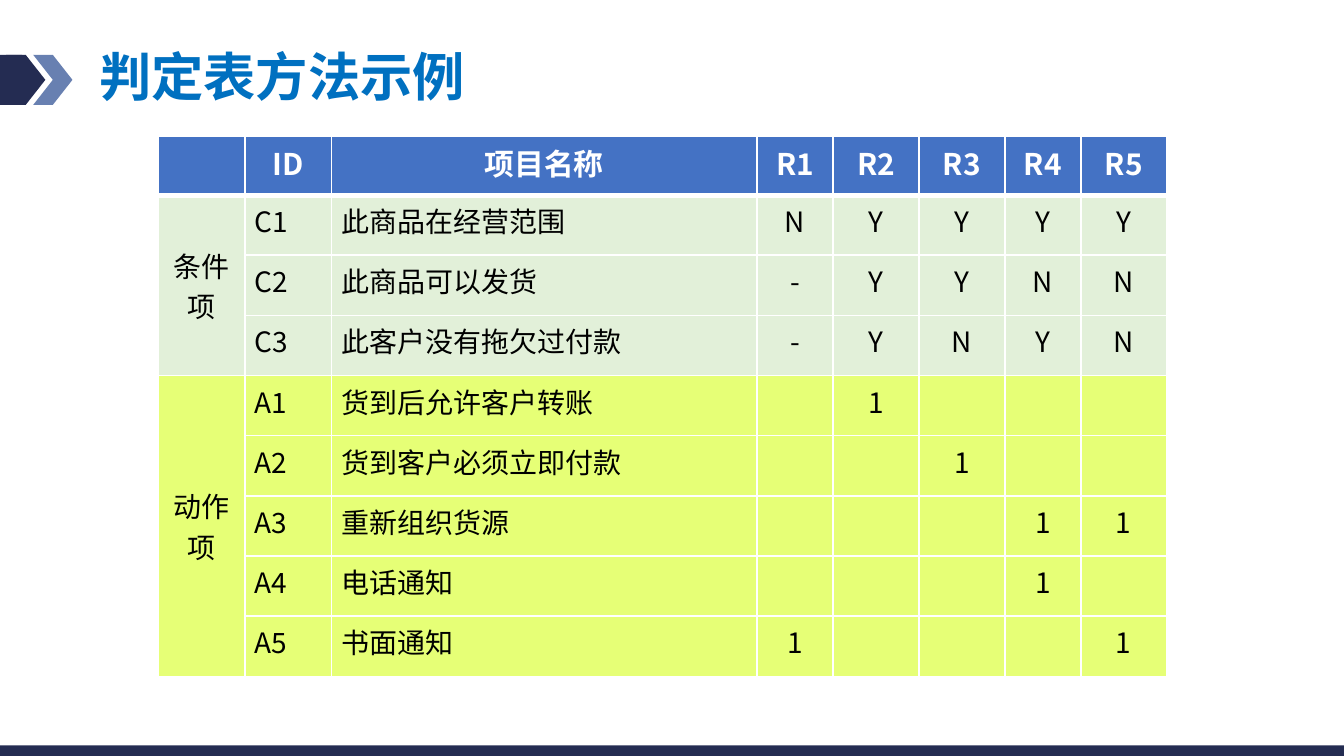
from pptx import Presentation
from pptx.dml.color import RGBColor
from pptx.enum import shapes, text
from pptx.oxml import ns
from pptx.util import Pt
from lxml import etree

FONT = "Noto Sans CJK SC"
NAVY = RGBColor(0x24, 0x2C, 0x52)
STEEL = RGBColor(0x68, 0x80, 0xB1)
TITLE_BLUE = RGBColor(0x00, 0x70, 0xC0)
HEADER_BLUE = RGBColor(0x44, 0x72, 0xC4)
CONDITION_GREEN = RGBColor(0xE2, 0xF0, 0xD9)
ACTION_LIME = RGBColor(0xE6, 0xFF, 0x76)
WHITE = RGBColor(0xFF, 0xFF, 0xFF)
BLACK = RGBColor(0x00, 0x00, 0x00)

TITLE_FORMAT = {"size": Pt(28), "bold": True, "name": FONT}
HEADER_FORMAT = {"size": Pt(16), "bold": True, "name": FONT}
BODY_FORMAT = {"size": Pt(15), "bold": False, "name": FONT}

COLUMN_WIDTHS = [46.2, 46.4, 228, 40.8, 46, 46, 40.8, 45.8]
HEADER_HEIGHT = 31.5
ROW_HEIGHT = 32.25
HEADINGS = ["", "ID", "项目名称", "R1", "R2", "R3", "R4", "R5"]
SECTIONS = [
    ("条件项", CONDITION_GREEN, [
        ("C1", "此商品在经营范围", "NYYYY"),
        ("C2", "此商品可以发货", "-YYNN"),
        ("C3", "此客户没有拖欠过付款", "-YNYN"),
    ]),
    ("动作项", ACTION_LIME, [
        ("A1", "货到后允许客户转账", " 1   "),
        ("A2", "货到客户必须立即付款", "  1  "),
        ("A3", "重新组织货源", "   11"),
        ("A4", "电话通知", "   1 "),
        ("A5", "书面通知", "1   1"),
    ]),
]


def set_attributes(target, values):
    for name, value in values.items():
        setattr(target, name, value)


def write_text(paragraph, words, font_format, color, alignment):
    paragraph.alignment = alignment
    run = paragraph.add_run()
    run.text = words
    set_attributes(run.font, font_format)
    run.font.color.rgb = color
    east_asian = etree.SubElement(run.font._element, ns.qn("a:ea"))
    east_asian.set("typeface", FONT)


def add_block(parent, kind, left, top, width, height, color):
    shape = parent.add_shape(kind, Pt(left), Pt(top), Pt(width), Pt(height))
    shape.shadow.inherit = False
    shape.fill.solid()
    shape.fill.fore_color.rgb = color
    shape.line.fill.background()
    return shape


def add_title_marker(slide, left, top, width, height):
    marker = slide.shapes.add_group_shape().shapes
    chevron_width = 21
    tail = add_block(marker, shapes.MSO_SHAPE.ROUNDED_RECTANGLE,
                     left, top, 25, height, NAVY)
    tail.adjustments[0] = 0.1
    right = left + width - chevron_width
    for chevron_left, color in ((right, STEEL), (right - 14.5, NAVY)):
        add_block(marker, shapes.MSO_SHAPE.CHEVRON,
                  chevron_left, top, chevron_width, height, color)


def add_footer_bar(slide, left, top, width, height):
    add_block(slide.shapes, shapes.MSO_SHAPE.RECTANGLE,
              left, top, width, height, NAVY)


def place_title(slide, left, top, width, height):
    title = slide.shapes.title
    set_attributes(title, {"left": Pt(left), "top": Pt(top),
                           "width": Pt(width), "height": Pt(height)})
    set_attributes(title.text_frame, {
        "word_wrap": True,
        "auto_size": text.MSO_AUTO_SIZE.NONE,
        "vertical_anchor": text.MSO_ANCHOR.MIDDLE,
    })
    paragraph = title.text_frame.paragraphs[0]
    paragraph.line_spacing = 0.9
    write_text(paragraph, "判定表方法示例", TITLE_FORMAT, TITLE_BLUE,
               text.PP_ALIGN.LEFT)


def set_borders(cell, top_width, bottom_width):
    properties = cell._tc.get_or_add_tcPr()
    sides = {"a:lnL": 1, "a:lnR": 1, "a:lnT": top_width, "a:lnB": bottom_width}
    for position, (tag, width) in enumerate(sides.items()):
        line = etree.Element(ns.qn(tag), w=str(Pt(width)))
        fill = etree.SubElement(line, ns.qn("a:solidFill"))
        etree.SubElement(fill, ns.qn("a:srgbClr"), val=str(WHITE))
        properties.insert(position, line)


def fill_cell(cell, words, font_format, color, background, centred):
    set_attributes(cell, {"margin_left": Pt(5.4), "margin_right": Pt(5.4),
                          "margin_top": Pt(2.7), "margin_bottom": Pt(2.7)})
    cell.fill.solid()
    cell.fill.fore_color.rgb = background
    if words:
        alignment = text.PP_ALIGN.CENTER if centred else text.PP_ALIGN.LEFT
        write_text(cell.text_frame.paragraphs[0], words, font_format, color,
                   alignment)


def add_decision_table(slide, left, top, width, height):
    row_count = 1 + sum(len(rules) for _, _, rules in SECTIONS)
    table = slide.shapes.add_table(row_count, len(HEADINGS), Pt(left), Pt(top),
                                   Pt(width), Pt(height)).table
    for column, column_width in zip(table.columns, COLUMN_WIDTHS):
        column.width = Pt(column_width)
    for index, row in enumerate(table.rows):
        row.height = Pt(ROW_HEIGHT if index else HEADER_HEIGHT)
        for cell in row.cells:
            set_borders(cell, 3 if index == 1 else 1, 1 if index else 3)

    for column, heading in enumerate(HEADINGS):
        fill_cell(table.cell(0, column), heading, HEADER_FORMAT, WHITE,
                  HEADER_BLUE, True)

    first_row = 1
    for label, background, rules in SECTIONS:
        for row, (identifier, name, values) in enumerate(rules, first_row):
            section_label = label if row == first_row else ""
            entries = [section_label, identifier, name, *values]
            for column, entry in enumerate(entries):
                fill_cell(table.cell(row, column), entry.strip(), BODY_FORMAT,
                          BLACK, background, column not in (1, 2))
        section_cell = table.cell(first_row, 0)
        section_cell.merge(table.cell(first_row + len(rules) - 1, 0))
        section_cell.vertical_anchor = text.MSO_ANCHOR.MIDDLE
        first_row += len(rules)


def main():
    presentation = Presentation()
    presentation.slide_width = Pt(720)
    presentation.slide_height = Pt(405)
    slide = presentation.slides.add_slide(presentation.slide_layouts[5])
    add_title_marker(slide, -10.8, 29.4, 49.6, 26.8)
    add_footer_bar(slide, 0, 399.4, 720, 9.4)
    place_title(slide, 46, 22.4, 579.6, 41)
    add_decision_table(slide, 85, 73, sum(COLUMN_WIDTHS),
                       HEADER_HEIGHT + 8 * ROW_HEIGHT)
    presentation.save("out.pptx")


if __name__ == "__main__":
    main()
